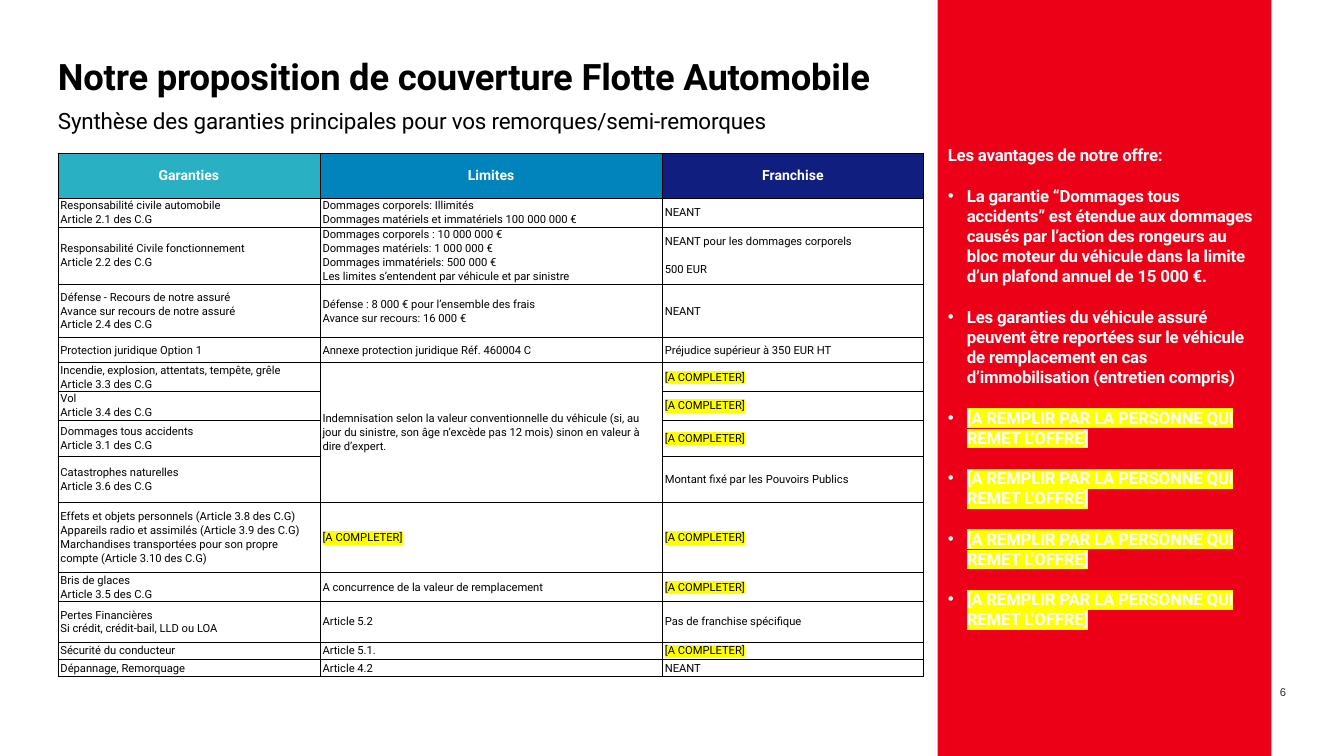
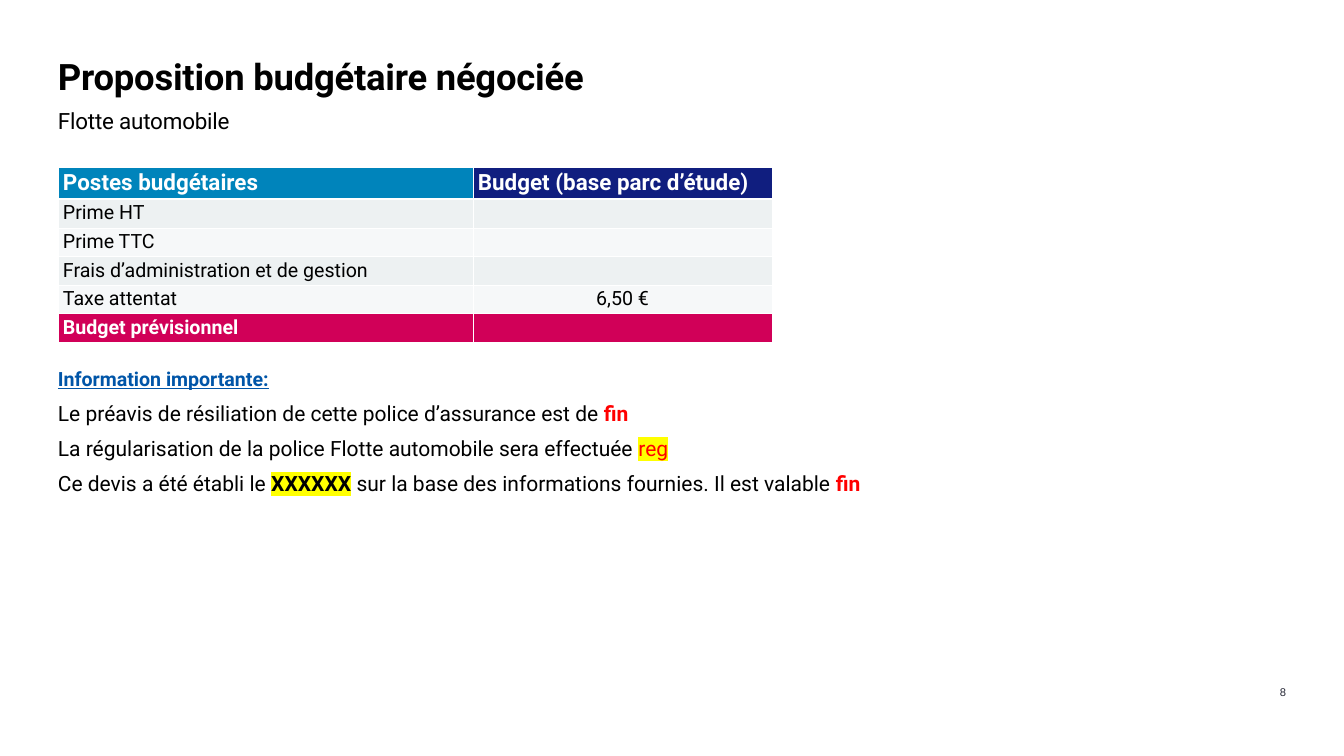
from collections.abc import Sequence
from dataclasses import dataclass

from lxml.etree import SubElement
from pptx import Presentation
from pptx.dml.color import RGBColor
from pptx.enum.shapes import MSO_SHAPE as Preset
from pptx.enum.text import MSO_ANCHOR as Anchor, PP_ALIGN as Align
from pptx.oxml import parse_xml
from pptx.oxml.ns import nsdecls, qn
from pptx.util import Inches, Pt


@dataclass(frozen=True)
class Theme:
    font: str = "Roboto"
    number_font: str = "Arial"
    ink: str = "000000"
    white: str = "FFFFFF"
    number_ink: str = "262836"
    red_band: str = "EB0017"
    teal: str = "29B0C3"
    blue: str = "0084BB"
    navy: str = "101E7F"
    raspberry: str = "D10058"
    stripes: tuple[str, str] = ("EDF1F2", "F6F8F9")
    link_blue: str = "0055A8"
    alert: str = "FF0000"
    marker: str = "FFFF00"
    title_size: int = 52
    subtitle_size: int = 32
    body_size: int = 30
    budget_size: int = 28
    advantage_size: int = 24
    header_size: int = 20
    cover_size: int = 16
    tracking: float = -0.3


@dataclass(frozen=True)
class Box:
    """A place on the slide, in percent of its width and height."""
    left: float
    top: float
    width: float
    height: float


@dataclass(frozen=True)
class Span:
    """A piece of a paragraph with its own emphasis."""
    text: str
    color: str | None = None
    bold: bool = False
    marked: bool = False


@dataclass(frozen=True)
class Grid:
    """A table's place, column and row shares, and rules."""
    box: Box
    columns: tuple[float, ...]
    rows: tuple[float, ...]
    rule_color: str
    header_rule: float = 1


THEME = Theme()
WIDTH, HEIGHT = Inches(26.66), Inches(15)

# Places shared by the slides
MARGIN = 4.31
TITLE = Box(MARGIN, 7, 91.37, 6)
SUBTITLE = Box(MARGIN, 12.93, 64.4, 6)
PAGE_NUMBER = Box(92.54, 87.13, 3.15, 5.33)
BAND = Box(69.77, 0, 24.83, 100)
ADVANTAGES_BOX = Box(BAND.left, 17.87, BAND.width, 71.53)
NOTICE_BOX = Box(MARGIN, 48.53, 91.37, 30.33)

COVER_GRID = Grid(
    Box(MARGIN, 20.27, 64.4, 69.07), (19.5, 25.47, 19.43),
    (5.93, 2.27, 7.4, 7, 3.33, 2.27, 2.27, 4.8, 6.13, 9.27, 2.27, 5.4, 2.27, 2.27),
    THEME.ink)
BUDGET_GRID = Grid(Box(MARGIN, 22.13, 53.15, 23.13), (30.87, 22.28), (2.73,) * 6,
                   THEME.white, header_rule=3)

# Wording
TO_COMPLETE = "[A COMPLETER]"
TO_FILL = "[A REMPLIR PAR LA PERSONNE QUI REMET L’OFFRE]"
ADVANTAGES = [
    "La garantie “Dommages tous accidents” est étendue aux dommages causés par l’action "
    "des rongeurs au bloc moteur du véhicule dans la limite d’un plafond annuel de 15 000 €.",
    "Les garanties du véhicule assuré peuvent être reportées sur le véhicule de remplacement "
    "en cas d’immobilisation (entretien compris)",
    *[TO_FILL] * 4,
]
COVER_HEADER = {"Garanties": THEME.teal, "Limites": THEME.blue, "Franchise": THEME.navy}
VALUE_ROWS = (5, 8)  # rows that share one limit
COVER = [
    ("Responsabilité civile automobile\nArticle 2.1 des C.G",
     "Dommages corporels: Illimités\nDommages matériels et immatériels 100 000 000 €", "NEANT"),
    ("Responsabilité Civile fonctionnement\nArticle 2.2 des C.G",
     "Dommages corporels : 10 000 000 €\nDommages matériels: 1 000 000 €\n"
     "Dommages immatériels: 500 000 €\nLes limites s’entendent par véhicule et par sinistre",
     "NEANT pour les dommages corporels\n\n500 EUR"),
    ("Défense - Recours de notre assuré\nAvance sur recours de notre assuré\nArticle 2.4 des C.G",
     "Défense : 8 000 € pour l’ensemble des frais\nAvance sur recours: 16 000 €", "NEANT"),
    ("Protection juridique Option 1", "Annexe protection juridique Réf. 460004 C",
     "Préjudice supérieur à 350 EUR HT"),
    ("Incendie, explosion, attentats, tempête, grêle\nArticle 3.3 des C.G",
     "Indemnisation selon la valeur conventionnelle du véhicule (si, au jour du sinistre, "
     "son âge n’excède pas 12 mois) sinon en valeur à dire d’expert.", TO_COMPLETE),
    ("Vol\nArticle 3.4 des C.G", "", TO_COMPLETE),
    ("Dommages tous accidents\nArticle 3.1 des C.G", "", TO_COMPLETE),
    ("Catastrophes naturelles\nArticle 3.6 des C.G", "", "Montant fixé par les Pouvoirs Publics"),
    ("Effets et objets personnels (Article 3.8 des C.G)\n"
     "Appareils radio et assimilés (Article 3.9 des C.G)\n"
     "Marchandises transportées pour son propre compte (Article 3.10 des C.G)",
     TO_COMPLETE, TO_COMPLETE),
    ("Bris de glaces\nArticle 3.5 des C.G", "A concurrence de la valeur de remplacement", TO_COMPLETE),
    ("Pertes Financières\nSi crédit, crédit-bail, LLD ou LOA", "Article 5.2",
     "Pas de franchise spécifique"),
    ("Sécurité du conducteur", "Article 5.1.", TO_COMPLETE),
    ("Dépannage, Remorquage", "Article 4.2", "NEANT"),
]
BUDGET_HEADER = {"Postes budgétaires": THEME.blue, "Budget (base parc d’étude)": THEME.navy}
BUDGET = [
    ("Prime HT", ""),
    ("Prime TTC", ""),
    ("Frais d’administration et de gestion", ""),
    ("Taxe attentat", "6,50 €"),
    ("Budget prévisionnel", ""),
]
END_DATE = Span("fin", THEME.alert, bold=True)
NOTICES = [
    [Span("Le préavis de résiliation de cette police d’assurance est de "), END_DATE],
    [Span("La régularisation de la police Flotte automobile sera effectuée "),
     Span("reg", THEME.alert, marked=True)],
    [Span("Ce devis a été établi le "), Span("XXXXXX", bold=True, marked=True),
     Span(" sur la base des informations fournies. Il est valable "), END_DATE],
]


def across(share: float) -> int:
    return round(WIDTH * share / 100)


def down(share: float) -> int:
    return round(HEIGHT * share / 100)


def place(box: Box) -> tuple[int, int, int, int]:
    return across(box.left), down(box.top), across(box.width), down(box.height)


def write(frame, text: str | Sequence[Span], *, size: float, color: str = THEME.ink,
          bold: bool = False, underline: bool = False, font: str = THEME.font,
          align: Align | None = None, before: float = 0, after: float = 0,
          leading: float | None = None, tracking: float = 0, hanging: float = 0) -> None:
    """Add one paragraph; text in square brackets is marked."""
    paragraph = frame.paragraphs[0]
    if paragraph.runs:
        paragraph = frame.add_paragraph()
    paragraph.alignment, paragraph.line_spacing = align, leading
    paragraph.space_before, paragraph.space_after = Pt(before), Pt(after)
    if hanging:
        layout = paragraph._p.get_or_add_pPr()
        layout.set("marL", str(Inches(hanging)))
        layout.set("indent", str(-Inches(hanging)))
        SubElement(layout, qn("a:buFont"), typeface="Arial")
        SubElement(layout, qn("a:buChar"), char="•")
    spans = [Span(text, marked=text.startswith("["))] if isinstance(text, str) else text
    for span in spans:
        run = paragraph.add_run()
        run.text = span.text
        run.font.name, run.font.size = font, Pt(size)
        run.font.bold, run.font.underline = bold or span.bold, underline
        run.font.color.rgb = RGBColor.from_string(span.color or color)
        properties = run.font._element
        if tracking:
            properties.set("spc", str(round(tracking * 100)))
        if span.marked:
            properties.find(qn("a:solidFill")).addnext(parse_xml(
                f'<a:highlight {nsdecls("a")}><a:srgbClr val="{THEME.marker}"/></a:highlight>'))


def text_area(slide, box: Box, anchor: Anchor = Anchor.TOP, inset: float = 0):
    frame = slide.shapes.add_textbox(*place(box)).text_frame
    frame.word_wrap, frame.vertical_anchor = True, anchor
    frame.margin_left = frame.margin_right = frame.margin_top = frame.margin_bottom = Inches(inset)
    return frame


def rule_cell(cell, color: str, top: float, bottom: float) -> None:
    properties = cell._tc.get_or_add_tcPr()
    for position, (side, weight) in enumerate(
            (("lnL", 1), ("lnR", 1), ("lnT", top), ("lnB", bottom))):
        properties.insert(position, parse_xml(
            f'<a:{side} {nsdecls("a")} w="{Pt(weight)}"><a:solidFill>'
            f'<a:srgbClr val="{color}"/></a:solidFill></a:{side}>'))


def paint(cell, color: str) -> None:
    cell.fill.solid()
    cell.fill.fore_color.rgb = RGBColor.from_string(color)


def add_grid(slide, grid: Grid):
    """Add a ruled, empty table without banding."""
    frame = slide.shapes.add_table(len(grid.rows), len(grid.columns), *place(grid.box))
    table = frame.table
    table.horz_banding = False
    for column, share in zip(table.columns, grid.columns):
        column.width = across(share)
    for index, (row, share) in enumerate(zip(table.rows, grid.rows)):
        row.height = down(share)
        for cell in row.cells:
            cell.fill.background()
            rule_cell(cell, grid.rule_color, grid.header_rule if index == 1 else 1,
                      grid.header_rule if index == 0 else 1)
    frame.height = down(grid.box.height)
    return table


def fill_header(table, header: dict[str, str], size: float, align: Align | None = None) -> None:
    for cell, (label, color) in zip(table.rows[0].cells, header.items()):
        paint(cell, color)
        write(cell.text_frame, label, size=size, color=THEME.white, bold=True, align=align)


def start_slide(deck, title: str, subtitle: str, number: int, band: bool = False):
    """Blank slide with title, page number, optional red band and subtitle."""
    slide = deck.slides.add_slide(deck.slide_layouts[6])
    write(text_area(slide, TITLE, Anchor.BOTTOM), title,
          size=THEME.title_size, bold=True, tracking=THEME.tracking)
    write(text_area(slide, PAGE_NUMBER, Anchor.BOTTOM), str(number), size=16,
          color=THEME.number_ink, font=THEME.number_font, align=Align.RIGHT, after=6)
    if band:
        panel = slide.shapes.add_shape(Preset.RECTANGLE, *place(BAND))
        panel.shadow.inherit = False
        panel.fill.solid()
        panel.fill.fore_color.rgb = RGBColor.from_string(THEME.red_band)
        panel.line.fill.background()
    write(text_area(slide, SUBTITLE, Anchor.MIDDLE), subtitle,
          size=THEME.subtitle_size, tracking=THEME.tracking)
    return slide


def build_cover(deck) -> None:
    slide = start_slide(deck, "Notre proposition de couverture Flotte Automobile",
                        "Synthèse des garanties principales pour vos remorques/semi-remorques",
                        6, band=True)
    # Advantages on the red band
    advantages = text_area(slide, ADVANTAGES_BOX, inset=0.2)
    style = dict(size=THEME.advantage_size, color=THEME.white, bold=True, tracking=THEME.tracking)
    write(advantages, "Les avantages de notre offre:", **style)
    for advantage in ADVANTAGES:
        write(advantages, advantage, before=28.8, hanging=0.38, **style)
    # Table of guarantees
    table = add_grid(slide, COVER_GRID)
    for cell in table.iter_cells():
        cell.vertical_anchor = Anchor.MIDDLE
        cell.margin_left = cell.margin_right = Inches(0.05)
        cell.margin_top = cell.margin_bottom = 0
    fill_header(table, COVER_HEADER, THEME.header_size, Align.CENTER)
    first, last = VALUE_ROWS
    table.cell(first, 1).merge(table.cell(last, 1))
    for index, guarantee in enumerate(COVER, 1):
        for cell, wording in zip(table.rows[index].cells, guarantee):
            for order, block in enumerate(wording.split("\n\n") if wording else []):
                for step, line in enumerate(block.split("\n")):
                    write(cell.text_frame, line, size=THEME.cover_size, leading=1.07,
                          before=20 if order and not step else 0)


def build_budget(deck) -> None:
    slide = start_slide(deck, "Proposition budgétaire négociée", "Flotte automobile", 8)
    # Notices under the table
    notices = text_area(slide, NOTICE_BOX)
    write(notices, "Information importante:", size=THEME.budget_size, color=THEME.link_blue,
          bold=True, underline=True, align=Align.JUSTIFY, after=14)
    for notice in NOTICES:
        write(notices, notice, size=THEME.body_size, align=Align.JUSTIFY, after=14)
    # Budget table with its total row
    table = add_grid(slide, BUDGET_GRID)
    fill_header(table, BUDGET_HEADER, THEME.subtitle_size)
    for index, item in enumerate(BUDGET):
        total = index == len(BUDGET) - 1
        for column, (cell, wording) in enumerate(zip(table.rows[index + 1].cells, item)):
            paint(cell, THEME.raspberry if total else THEME.stripes[index % 2])
            if wording:
                write(cell.text_frame, wording, size=THEME.budget_size, bold=total,
                      color=THEME.white if total else THEME.ink,
                      align=Align.CENTER if column else None)


def main() -> None:
    deck = Presentation()
    deck.slide_width, deck.slide_height = WIDTH, HEIGHT
    build_cover(deck)
    build_budget(deck)
    deck.save("out.pptx")


if __name__ == "__main__":
    main()
